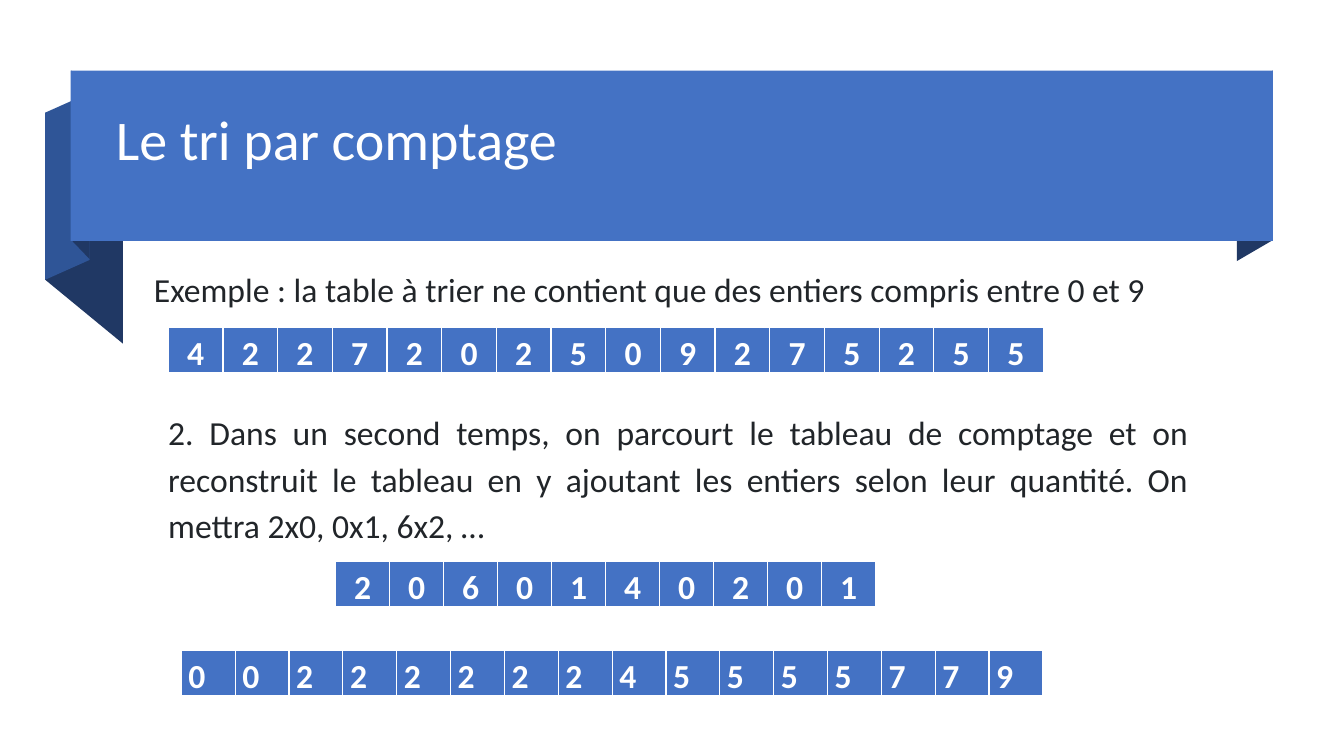
from lxml import etree
from pptx import Presentation
from pptx import util as u
from pptx.dml.color import RGBColor
from pptx.enum import shapes, text
from pptx.oxml.ns import qn

FONT = "Calibri"
COLORS = {
    "banner": "4472C4",
    "fold": "2F5597",
    "shade": "203864",
    "body": "212529",
    "white": "FFFFFF",
}
BORDERS = {"a:lnL": 1, "a:lnR": 1, "a:lnT": 1, "a:lnB": 3}


def paint(sp, color):
    sp.shadow.inherit = False
    sp.fill.solid()
    sp.fill.fore_color.rgb = RGBColor.from_string(COLORS[color])
    sp.line.fill.background()


def add_fold(s, left, right, top_left, top_right, drop, color):
    """Ribbon fold: a parallelogram with two vertical sides."""
    fb = s.shapes.build_freeform(u.Cm(left), u.Cm(top_left))
    corners = [(right, top_right), (right, top_right + drop), (left, top_left + drop)]
    fb.add_line_segments([(u.Cm(x), u.Cm(y)) for x, y in corners], close=True)
    paint(fb.convert_to_shape(), color)


def add_banner(s, left, top, width, height):
    sp = s.shapes.add_shape(shapes.MSO_SHAPE.RECTANGLE,
                            u.Cm(left), u.Cm(top), u.Cm(width), u.Cm(height))
    paint(sp, "banner")


def format_paragraph(p, size, color, align, spacing, after=0, bold=False):
    p.alignment = align
    p.line_spacing = spacing
    p.space_after = u.Pt(after)
    for r in p.runs:
        r.font.name = FONT
        r.font.size = u.Pt(size)
        r.font.bold = bold
        r.font.color.rgb = RGBColor.from_string(COLORS[color])


def add_text_box(s, left, top, width, height, content):
    tf = s.shapes.add_textbox(u.Cm(left), u.Cm(top), u.Cm(width), u.Cm(height)).text_frame
    tf.word_wrap = True
    tf.text = content
    return tf


def add_title(s, left, top, width, height, content):
    tf = add_text_box(s, left, top, width, height, content)
    tf.vertical_anchor = text.MSO_ANCHOR.MIDDLE
    format_paragraph(tf.paragraphs[0], 40, "white", text.PP_ALIGN.LEFT, 0.9)


def add_body(s, left, top, width, height, content):
    tf = add_text_box(s, left, top, width, height, content)
    tf.auto_size = text.MSO_AUTO_SIZE.SHAPE_TO_FIT_TEXT
    format_paragraph(tf.paragraphs[0], 24, "body", text.PP_ALIGN.JUSTIFY, 1.15, 6)


def set_borders(cell):
    tc_pr = cell._tc.get_or_add_tcPr()
    for i, (tag, width) in enumerate(BORDERS.items()):
        ln = etree.Element(qn(tag), w=str(u.Pt(width)))
        fill = etree.SubElement(ln, qn("a:solidFill"))
        etree.SubElement(fill, qn("a:srgbClr"), val=COLORS["white"])
        tc_pr.insert(i, ln)


def add_number_row(s, left, top, width, digits, align):
    """One-row table with one digit per cell."""
    frame = s.shapes.add_table(1, len(digits), u.Cm(left), u.Cm(top),
                               u.Cm(width), u.Cm(1.09))
    table = frame.table
    for column in table.columns:
        column.width = u.Cm(width / len(digits))
    for cell, digit in zip(table.rows[0].cells, digits):
        cell.margin_left = cell.margin_right = u.Cm(0.18)
        cell.margin_top = cell.margin_bottom = 0
        cell.fill.solid()
        cell.fill.fore_color.rgb = RGBColor.from_string(COLORS["banner"])
        set_borders(cell)
        cell.text = digit
        format_paragraph(cell.text_frame.paragraphs[0], 24, "white", align, 1.15, 6, True)


def main():
    prs = Presentation()
    prs.slide_width, prs.slide_height = u.Cm(33.87), u.Cm(19.05)
    s = prs.slides.add_slide(prs.slide_layouts[6])

    # Ribbon and title
    add_fold(s, 1.14, 3.1, 2.84, 4.45, 4.21, "shade")
    add_fold(s, 1.14, 2.26, 2.84, 2.34, 4.21, "fold")
    add_fold(s, 1.8, 2.26, 1.78, 2.26, 4.27, "shade")
    add_fold(s, 31.17, 32.08, 2.31, 1.78, 4.27, "shade")
    add_banner(s, 1.78, 1.78, 30.3, 4.29)
    add_title(s, 2.67, 2.24, 28.52, 2.69, "Le tri par comptage")

    # Unsorted numbers
    add_body(s, 3.63, 6.5, 26.57, 1.37,
             "Exemple : la table à trier ne contient que des entiers compris entre 0 et 9")
    add_number_row(s, 4.24, 8.26, 22.05, "4227202509275255", text.PP_ALIGN.CENTER)

    # Counts, then sorted numbers
    add_number_row(s, 8.46, 14.15, 13.61, "2060140201", text.PP_ALIGN.CENTER)
    add_body(s, 3.99, 10.11, 26.21, 5.13,
             "2. Dans un second temps, on parcourt le tableau de comptage et on "
             "reconstruit le tableau en y ajoutant les entiers selon leur quantité. "
             "On mettra 2x0, 0x1, 6x2, …")
    add_number_row(s, 4.57, 16.38, 21.72, "0022222245555779", text.PP_ALIGN.JUSTIFY)

    prs.save("out.pptx")


if __name__ == "__main__":
    main()
